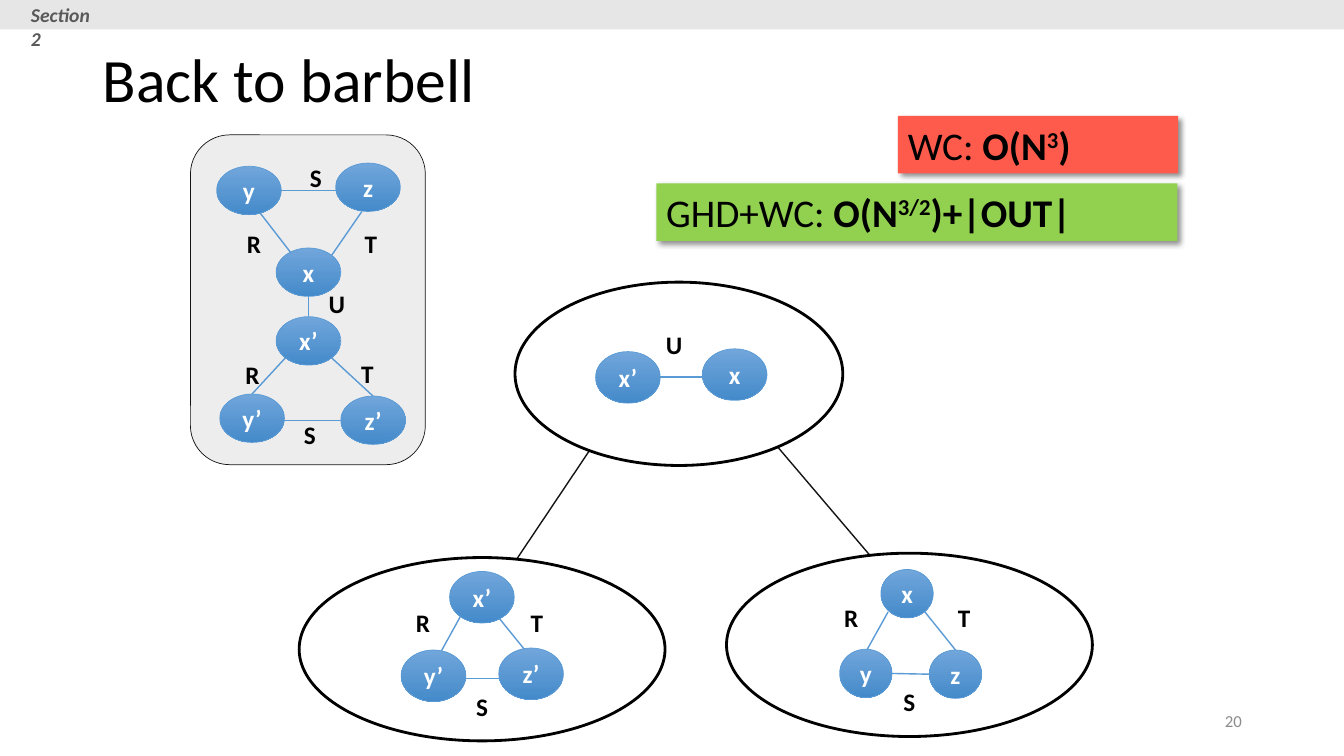
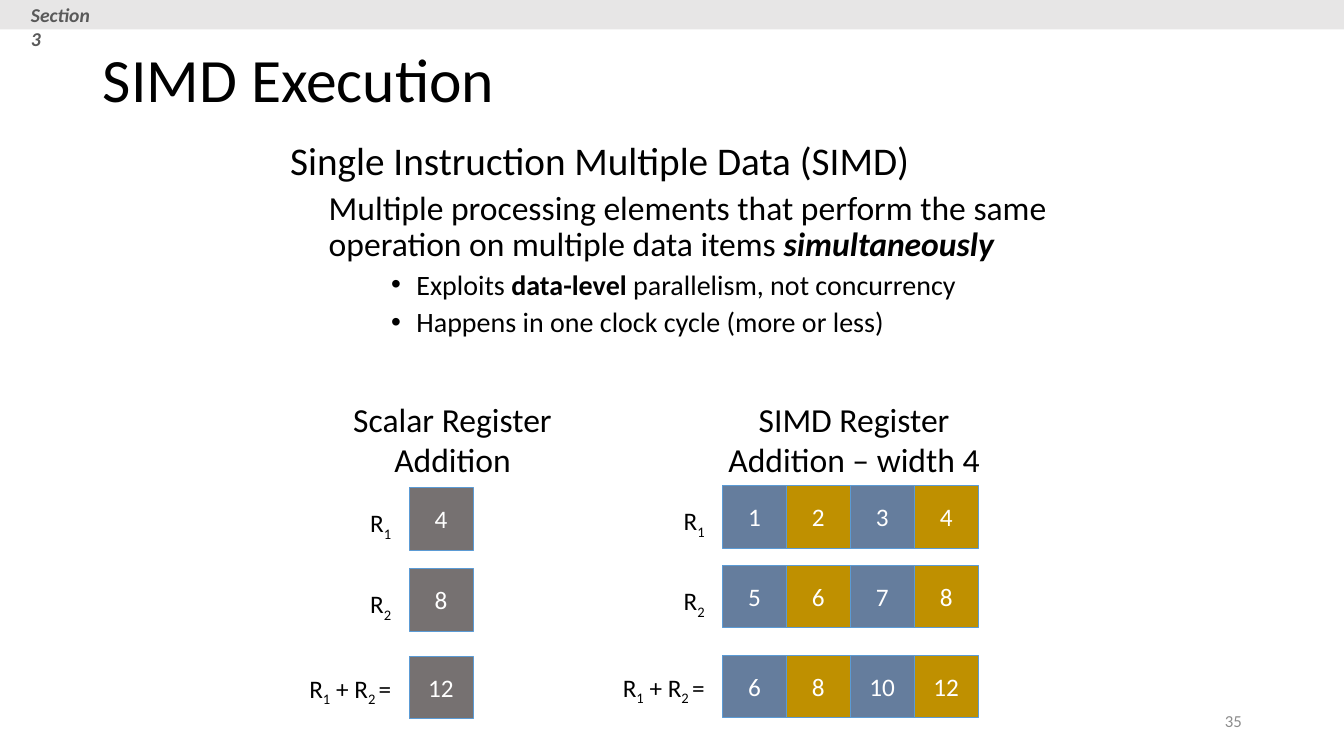
import pptx
import pptx.util
import pptx.dml.color
import pptx.enum.shapes
import pptx.enum.text
import pptx.oxml
import pptx.oxml.ns
from lxml import etree

Cm = pptx.util.Cm
Pt = pptx.util.Pt
RGBColor = pptx.dml.color.RGBColor
Shape = pptx.enum.shapes.MSO_SHAPE
Align = pptx.enum.text.PP_ALIGN
Anchor = pptx.enum.text.MSO_ANCHOR
qn = pptx.oxml.ns.qn

FONT = "Calibri"
BLACK = RGBColor(0x00, 0x00, 0x00)
WHITE = RGBColor(0xFF, 0xFF, 0xFF)
INK = RGBColor(0x13, 0x15, 0x15)
BAND = RGBColor(0xE7, 0xE6, 0xE6)
PANEL = RGBColor(0xED, 0xED, 0xED)
SECTION_GRAY = RGBColor(0x59, 0x59, 0x59)
NUMBER_GRAY = RGBColor(0x8C, 0x8C, 0x8C)
BLUE = RGBColor(0x5B, 0x9B, 0xD5)
NODE_TOP = RGBColor(0x71, 0xA6, 0xDB)
NODE_BOTTOM = RGBColor(0x44, 0x8A, 0xCA)
RED = RGBColor(0xFF, 0x5B, 0x4D)
GREEN = RGBColor(0x92, 0xD0, 0x50)
SLATE = RGBColor(0x65, 0x7D, 0x9D)
GOLD = RGBColor(0xBF, 0x90, 0x00)
SCALAR_GRAY = RGBColor(0x76, 0x71, 0x71)


def draw(page, kind, place, fill=None, edge=None, weight=1):
    """Add a shape, a text box ("text") or a line ("line"); place is in cm."""
    place = [Cm(length) for length in place]
    if kind == "text":
        box = page.shapes.add_textbox(*place)
        box.text_frame.word_wrap = True
        return box
    if kind == "line":
        box = page.shapes.add_connector(
            pptx.enum.shapes.MSO_CONNECTOR.STRAIGHT, *place)
        etree.SubElement(box._element.spPr, qn("a:effectLst"))
    else:
        box = page.shapes.add_shape(kind, *place)
        box.shadow.inherit = False
        if fill is not None:
            box.fill.solid()
            box.fill.fore_color.rgb = fill
    if edge is None:
        box.line.fill.background()
    else:
        box.line.color.rgb = edge
        box.line.width = Pt(weight)
    return box


def write(paragraph, spans, size, color, align=Align.LEFT):
    """Fill a paragraph with (text, style): b bold, i italic, ^ super, _ sub."""
    paragraph.alignment = align
    for text, style in spans:
        span = paragraph.add_run()
        span.text = text
        span.font.name = FONT
        span.font.size = Pt(size)
        span.font.color.rgb = color
        span.font.bold = "b" in style
        span.font.italic = "i" in style
        if "^" in style:
            span.font._element.set("baseline", "30000")
        if "_" in style:
            span.font._element.set("baseline", "-25000")


deck = pptx.Presentation()
deck.slide_width = Cm(33.87)
deck.slide_height = Cm(19.05)

# Shared parts: band, section label, title, slide number
pages = []
for layout, section, title, number in [
        (5, "Section 2", "Back to barbell", "20"),
        (1, "Section 3", "SIMD Execution", "35")]:
    page = deck.slides.add_slide(deck.slide_layouts[layout])
    pages.append(page)
    draw(page, Shape.RECTANGLE, (0, 0, 33.87, 0.74), BAND)
    label = draw(page, "text", (0.53, -0.05, 2.34, 0.86))
    write(label.text_frame.paragraphs[0], [(section, "bi")], 14, SECTION_GRAY)

    heading = page.shapes.title
    heading.left, heading.top = Cm(2.34), Cm(0.23)
    heading.width, heading.height = Cm(30.68), Cm(3.68)
    heading.text_frame.auto_size = pptx.enum.text.MSO_AUTO_SIZE.NONE
    heading.text_frame.vertical_anchor = Anchor.MIDDLE
    write(heading.text_frame.paragraphs[0], [(title, "")], 44, BLACK)
    heading.text_frame.paragraphs[0].line_spacing = 0.9

    footer = draw(page, "text", (23.93, 17.65, 7.62, 1.02))
    footer.text_frame.vertical_anchor = Anchor.MIDDLE
    write(footer.text_frame.paragraphs[0], [(number, "")], 12, NUMBER_GRAY,
          Align.RIGHT)

barbell_page, simd_page = pages

# Barbell: tree of bags and the query panel
for link in [(22.38, 14.53, 18.31, 9.75), (12.37, 15.06, 15.93, 9.75)]:
    draw(barbell_page, "line", link, edge=INK)
for bag in [(18.31, 13.94, 9.22, 4.62), (12.98, 7.11, 8.26, 4.62),
            (7.54, 14.05, 9.22, 4.62)]:
    draw(barbell_page, Shape.OVAL, bag, WHITE, BLACK, 2)
draw(barbell_page, Shape.ROUNDED_RECTANGLE, (4.8, 3.4, 5.92, 8.31),
     PANEL, INK, 0.5)

# Barbell: each graph has a node size, nodes (left, top), edges and
# edge labels (centre)
graphs = [
    ((1.63, 1.22),
     [("x", 6.96, 6.25), ("x’", 6.96, 7.98), ("y’", 5.54, 9.93),
      ("z’", 8.59, 9.98), ("y", 5.46, 4.19), ("z", 8.46, 4.11)],
     [(8.36, 9.02, 9.4, 9.98), (7.14, 10.59, 8.59, 10.59),
      (6.35, 9.93, 7.19, 9.02), (7.77, 7.98, 7.77, 7.47),
      (9.12, 5.33, 8.36, 6.43), (7.04, 4.8, 8.51, 4.8),
      (7.47, 6.55, 6.55, 5.36)],
     [("R", 6.36, 9.45), ("S", 7.81, 10.95), ("T", 9.26, 9.42),
      ("U", 8.49, 7.65), ("R", 6.4, 6.15), ("S", 7.96, 4.47),
      ("T", 9.35, 6.15)]),
    ((1.63, 1.3),
     [("x", 17.7, 8.79), ("x’", 15.01, 8.86)],
     [(15.93, 9.5, 17.93, 9.5)],
     [("U", 16.99, 8.69)]),
    ((1.63, 1.3),
     [("x’", 11.33, 14.4), ("y’", 10.11, 16.38), ("z’", 12.57, 16.33)],
     [(11.02, 16.59, 11.61, 15.52), (11.71, 17.09, 12.65, 17.09),
      (12.37, 15.32, 13.31, 16.48)],
     [("T", 13.53, 15.7), ("S", 12.15, 17.81), ("R", 10.66, 15.7)]),
    ((1.32, 1.22),
     [("x", 22.2, 14.35), ("y", 21.16, 16.36), ("z", 23.42, 16.38)],
     [(21.79, 16.48, 22.38, 15.42), (22.48, 16.97, 23.42, 16.99),
      (23.14, 15.21, 24.08, 16.38)],
     [("T", 24.3, 15.57), ("S", 22.92, 17.68), ("R", 21.45, 15.57)]),
]
LABEL_SIZE = 1.02
for node_size, nodes, edges, labels in graphs:
    for edge in edges:
        draw(barbell_page, "line", edge, edge=BLUE)
    for name, left, top in nodes:
        node = draw(barbell_page, Shape.OVAL, (left, top, *node_size),
                    edge=BLUE, weight=0.5)
        node.fill.gradient()
        node.fill.gradient_angle = 270
        for stop, color in zip(node.fill.gradient_stops,
                               (NODE_TOP, NODE_BOTTOM)):
            stop.color.rgb = color
        node.text_frame.word_wrap = False
        node.text_frame.vertical_anchor = Anchor.MIDDLE
        write(node.text_frame.paragraphs[0], [(name, "b")], 18, WHITE,
              Align.CENTER)
    for name, across, down in labels:
        label = draw(barbell_page, "text",
                     (across - LABEL_SIZE / 2, down - LABEL_SIZE / 2,
                      LABEL_SIZE, LABEL_SIZE))
        write(label.text_frame.paragraphs[0], [(name, "b")], 18, BLACK,
              Align.CENTER)

# Barbell: cost callouts with a soft shadow
SHADOW = (
    '<a:outerShdw xmlns:a="http://schemas.openxmlformats.org/drawingml/2006/main"'
    ' blurRad="50800" dist="38100" dir="2700000" algn="tl" rotWithShape="0">'
    '<a:srgbClr val="000000"><a:alpha val="43000"/></a:srgbClr></a:outerShdw>')
for place, fill, spans in [
        ((22.63, 2.92, 7.06, 1.45), RED,
         [("WC: ", ""), ("O(N", "b"), ("3", "b^"), (")", "b")]),
        ((16.54, 4.62, 13.13, 1.45), GREEN,
         [("GHD+WC: ", ""), ("O(N", "b"), ("3/2", "b^"), (")+|OUT|", "b")])]:
    callout = draw(barbell_page, Shape.RECTANGLE, place, fill)
    effects = callout._element.spPr.find(qn("a:effectLst"))
    effects.append(pptx.oxml.parse_xml(SHADOW))
    callout.text_frame.vertical_anchor = Anchor.TOP
    write(callout.text_frame.paragraphs[0], spans, 28, BLACK)

# SIMD: definition list
body = simd_page.placeholders[1]
body.left, body.top, body.width, body.height = (
    Cm(7.06), Cm(3.45), Cm(22.86), Cm(7.21))
body.text_frame.auto_size = pptx.enum.text.MSO_AUTO_SIZE.NONE
points = [
    (0, [("Single Instruction Multiple Data (SIMD)", "")]),
    (1, [("Multiple processing elements that perform the same operation on "
          "multiple data items ", ""), ("simultaneously", "bi")]),
    (2, [("Exploits ", ""), ("data-level ", "b"),
         ("parallelism, not concurrency", "")]),
    (2, [("Happens in one clock cycle (more or less)", "")]),
]
level_formats = [(28, 0, 0), (24, 0.97, 0), (20, 3.18, -0.64)]
for index, (level, spans) in enumerate(points):
    size, margin, indent = level_formats[level]
    frame = body.text_frame
    paragraph = frame.paragraphs[0] if index == 0 else frame.add_paragraph()
    paragraph.level = level
    properties = paragraph._p.get_or_add_pPr()
    properties.set("marL", str(Cm(margin)))
    properties.set("indent", str(Cm(indent)))
    if level < 2:
        etree.SubElement(properties, qn("a:buNone"))
    paragraph.line_spacing = 0.9
    paragraph.space_before = Pt(5 if index else 0)
    write(paragraph, spans, size, BLACK)

# SIMD: register tables, one row per operand and one for the sum
CELL_WIDTH, CELL_HEIGHT = 1.61, 1.57
LABEL_WIDTH = 3.2
row_labels = [
    ([("R", ""), ("1", "_")], 0.38),
    ([("R", ""), ("2", "_")], 0.38),
    ([("R", ""), ("1", "_"), (" + R", ""), ("2 ", "_"), ("=", "")], 0.3),
]
registers = [
    (["SIMD Register", "Addition – width 4"], (17.17, 9.93, 8.71, 2.31),
     18.21, (12.24, 14.25, 16.51), (SLATE, GOLD),
     [(1, 2, 3, 4), (5, 6, 7, 8), (6, 8, 10, 12)]),
    (["Scalar Register", "Addition"], (6.12, 9.93, 10.57, 2.31),
     10.31, (12.29, 14.33, 16.54), (SCALAR_GRAY,), [(4,), (8,), (12,)]),
]
for heading_lines, heading_place, left, tops, fills, rows in registers:
    frame = draw(simd_page, "text", heading_place).text_frame
    write(frame.paragraphs[0], [(heading_lines[0], "")], 24, BLACK,
          Align.CENTER)
    write(frame.add_paragraph(), [(heading_lines[1], "")], 24, BLACK,
          Align.CENTER)
    for top, values, (spans, drop) in zip(tops, rows, row_labels):
        label = draw(simd_page, "text",
                     (left - 0.2 - LABEL_WIDTH, top + drop, LABEL_WIDTH, 1.02))
        write(label.text_frame.paragraphs[0], spans, 18, BLACK, Align.RIGHT)
        for column, value in enumerate(values):
            cell = draw(simd_page, Shape.RECTANGLE,
                        (left + column * CELL_WIDTH, top,
                         CELL_WIDTH, CELL_HEIGHT),
                        fills[column % len(fills)], BLUE, 0.5)
            cell.text_frame.vertical_anchor = Anchor.MIDDLE
            write(cell.text_frame.paragraphs[0], [(str(value), "")], 18,
                  WHITE, Align.CENTER)

deck.save("out.pptx")
